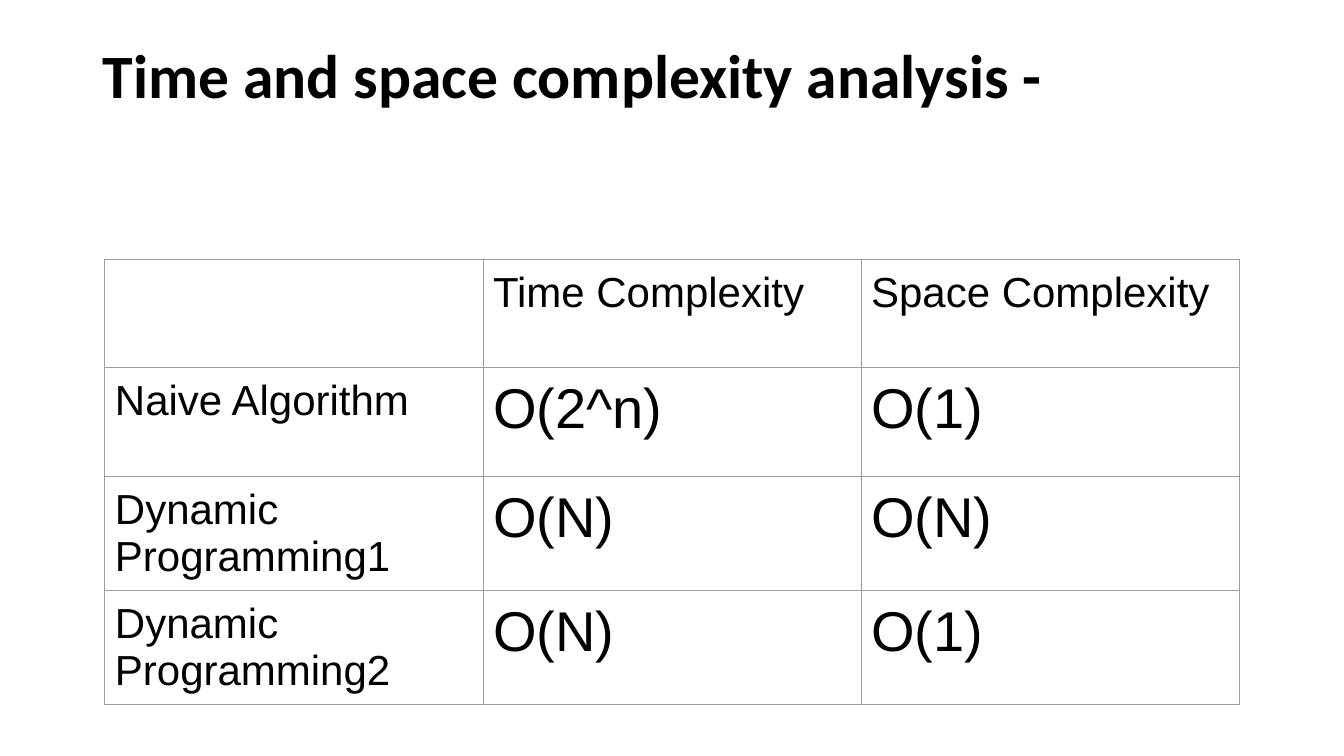
from lxml import etree
from pptx import Presentation
from pptx.dml.color import RGBColor
from pptx.enum import text as t
from pptx.oxml import ns
from pptx.util import Inches, Pt

BLACK = RGBColor(0, 0, 0)
GREY = RGBColor(0x9E, 0x9E, 0x9E)
WIDE, HIGH = Inches(13.33), Inches(7.5)
ROWS = [
    ["", "Time Complexity", "Space Complexity"],
    ["Naive Algorithm", "O(2^n)", "O(1)"],
    ["Dynamic Programming1", "O(N)", "O(N)"],
    ["Dynamic\nProgramming2", "O(N)", "O(1)"],
]


def write(frame, words, size, font="Arial", bold=False, space=1.0):
    frame.text = words
    for par in frame.paragraphs:
        par.alignment = t.PP_ALIGN.LEFT
        par.line_spacing = space
        par.font.size = Pt(size)
        for run in par.runs:
            run.font.size = Pt(size)
            run.font.name = font
            run.font.bold = bold
            run.font.color.rgb = BLACK


def border(cell):
    props = cell._tc.get_or_add_tcPr()
    for spot, side in enumerate("LRTB"):
        line = etree.Element(ns.qn(f"a:ln{side}"), w=str(Pt(0.75)))
        fill = etree.SubElement(line, ns.qn("a:solidFill"))
        etree.SubElement(fill, ns.qn("a:srgbClr"), val=str(GREY))
        props.insert(spot, line)


def head(slide, left, top, width, height):
    title = slide.shapes.title
    title.left, title.top, title.width, title.height = left, top, width, height
    frame = title.text_frame
    frame.word_wrap = True
    frame.auto_size = t.MSO_AUTO_SIZE.NONE
    frame.vertical_anchor = t.MSO_ANCHOR.TOP
    write(frame, "Time and space complexity analysis -", 44,
          font="Calibri", bold=True, space=0.9)


def grid(slide, left, top, width, height):
    table = slide.shapes.add_table(
        len(ROWS), len(ROWS[0]), left, top, width, height).table
    table.first_row = table.horz_banding = False
    for r, row in enumerate(ROWS):
        for c, words in enumerate(row):
            cell = table.cell(r, c)
            cell.fill.background()
            cell.margin_left = cell.margin_right = Inches(0.1)
            cell.margin_top = cell.margin_bottom = Inches(0.1)
            write(cell.text_frame, words, 40 if r and c else 30)
            border(cell)


def main():
    deck = Presentation()
    deck.slide_width, deck.slide_height = WIDE, HIGH
    slide = deck.slides.add_slide(deck.slide_layouts[5])
    head(slide, Inches(0.92), Inches(0.4), Inches(11.5), Inches(1.45))
    grid(slide, Inches(1.04), Inches(2.57), 3 * Inches(3.75), 4 * Inches(1.08))
    deck.save("out.pptx")


if __name__ == "__main__":
    main()
